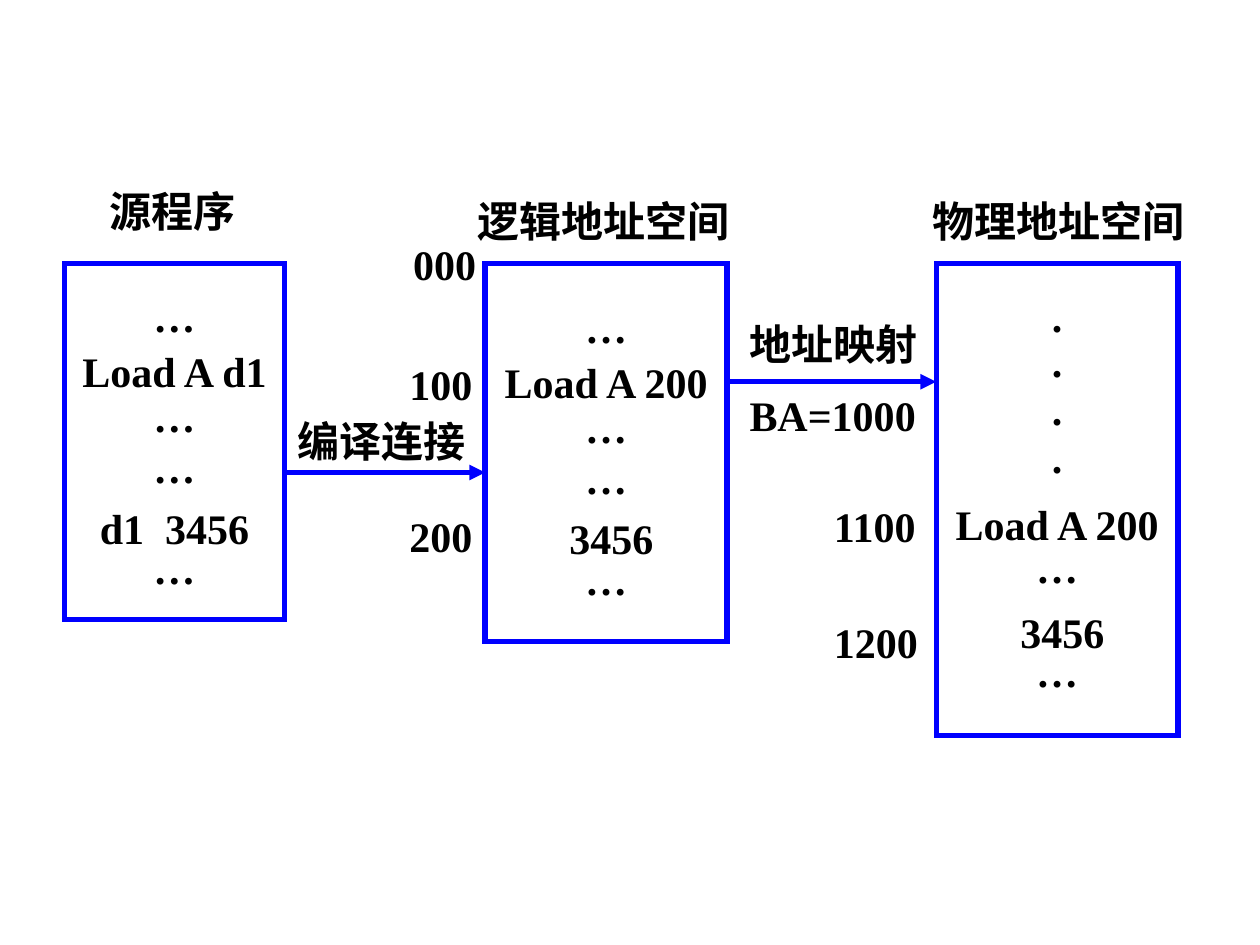
from lxml import etree
from pptx import Presentation
from pptx.dml.color import RGBColor
from pptx.enum.shapes import MSO_CONNECTOR, MSO_SHAPE
from pptx.enum.text import MSO_ANCHOR, MSO_AUTO_SIZE, PP_ALIGN
from pptx.oxml.ns import qn
from pptx.util import Inches, Pt

BLUE = RGBColor(0x00, 0x00, 0xFF)
BLACK = RGBColor(0x00, 0x00, 0x00)
FONT = "Times New Roman"
LINE_WIDTH = Pt(3)
LABEL_HEIGHT = 0.5
BOX_TOP = 2.09

RECTANGLE = MSO_SHAPE.RECTANGLE
STRAIGHT = MSO_CONNECTOR.STRAIGHT
LEFT, CENTER = PP_ALIGN.LEFT, PP_ALIGN.CENTER
MIDDLE = MSO_ANCHOR.MIDDLE
FIT_SHAPE = MSO_AUTO_SIZE.SHAPE_TO_FIT_TEXT

# Rows of each box: text and line spacing
SOURCE_ROWS = [("…", 1.0), ("Load A d1", 1.1), ("…", 0.9),
               ("…", 1.0), ("d1  3456", 1.2), ("…", 0.8)]
LOGICAL_ROWS = [("…", 1.0), ("Load A 200", 1.1), ("…", 0.9),
                ("…", 1.0), (" 3456", 1.2), ("…", 0.8)]
PHYSICAL_ROWS = [(".", 0.7), (".", 0.95), (".", 0.95), (".", 0.95),
                 ("Load A 200", 1.3), ("…", 0.85), (" 3456", 1.3), ("…", 0.75)]


def write_paragraph(paragraph, text, *, align=LEFT, spacing=1.0, before=0):
    paragraph.alignment = align
    paragraph.line_spacing = spacing
    paragraph.space_before = Pt(before)
    run = paragraph.add_run()
    run.text = text
    run.font.name = FONT
    run.font.size = Pt(24)
    run.font.bold = True
    run.font.color.rgb = BLACK


def add_label(slide, left, top, width, lines, *, height=LABEL_HEIGHT,
              spacing=1.0, gap=0):
    """Text box with one paragraph per line, gap points apart."""
    shape = slide.shapes.add_textbox(
        Inches(left), Inches(top), Inches(width), Inches(height))
    frame = shape.text_frame
    frame.word_wrap = False
    frame.auto_size = FIT_SHAPE
    for index, text in enumerate(lines):
        paragraph = frame.add_paragraph() if index else frame.paragraphs[0]
        write_paragraph(paragraph, text, spacing=spacing,
                        before=gap if index else 0)


def add_memory_box(slide, left, top, width, height, rows):
    """Outlined rectangle listing the contents of one address space."""
    shape = slide.shapes.add_shape(
        RECTANGLE, Inches(left), Inches(top), Inches(width), Inches(height))
    shape.shadow.inherit = False
    shape.fill.background()
    shape.line.color.rgb = BLUE
    shape.line.width = LINE_WIDTH
    # Square corners
    etree.SubElement(shape.line._get_or_add_ln(), qn("a:miter"), lim="800000")
    frame = shape.text_frame
    frame.word_wrap = False
    frame.vertical_anchor = MIDDLE
    for index, (text, spacing) in enumerate(rows):
        paragraph = frame.add_paragraph() if index else frame.paragraphs[0]
        write_paragraph(paragraph, text, align=CENTER, spacing=spacing)


def add_arrow(slide, start, end, y):
    """Horizontal arrow from one address space to the next."""
    arrow = slide.shapes.add_connector(
        STRAIGHT, Inches(start), Inches(y), Inches(end), Inches(y))
    arrow.line.color.rgb = BLUE
    arrow.line.width = LINE_WIDTH
    outline = arrow.line._get_or_add_ln()
    etree.SubElement(outline, qn("a:tailEnd"), type="triangle")
    etree.SubElement(arrow._element.spPr, qn("a:effectLst"))


def add_source_program(slide, left, top, width, height):
    add_label(slide, left + 0.26, 1.42, 1.22, ["源程序"])
    add_memory_box(slide, left, top, width, height, SOURCE_ROWS)


def add_logical_space(slide, left, top, width, height):
    add_label(slide, left - 0.16, 1.5, 2.22, ["逻辑地址空间"])
    add_memory_box(slide, left, top, width, height, LOGICAL_ROWS)
    for address, x, y in [("000", 3.18, 1.84), ("100", 3.15, 2.8),
                          ("200", 3.15, 4.0)]:
        add_label(slide, x, y, 0.72, [address])


def add_physical_space(slide, left, top, width, height):
    add_label(slide, left - 0.13, 1.5, 2.22, ["物理地址空间"])
    add_memory_box(slide, left, top, width, height, PHYSICAL_ROWS)
    for address, y in [("1100", 3.92), ("1200", 4.84)]:
        add_label(slide, left - 0.91, y, 0.9, [address])


def main():
    presentation = Presentation()
    presentation.slide_width = Inches(10)
    presentation.slide_height = Inches(7.5)
    slide = presentation.slides.add_slide(presentation.slide_layouts[6])

    # Program and address spaces
    add_source_program(slide, 0.51, BOX_TOP, 1.75, 2.83)
    add_logical_space(slide, 3.85, BOX_TOP, 1.92, 3.0)
    add_physical_space(slide, 7.43, BOX_TOP, 1.92, 3.75)

    # Compile and link step
    add_label(slide, 2.26, 3.25, 1.58, ["编译连接"])
    add_arrow(slide, 2.26, 3.85, 3.75)

    # Address mapping step
    add_label(slide, 5.85, 2.59, 1.55, ["地址映射", "BA=1000"],
              height=0.94, spacing=0.7, gap=20)
    add_arrow(slide, 5.77, 7.43, 3.03)

    presentation.save("out.pptx")


if __name__ == "__main__":
    main()
